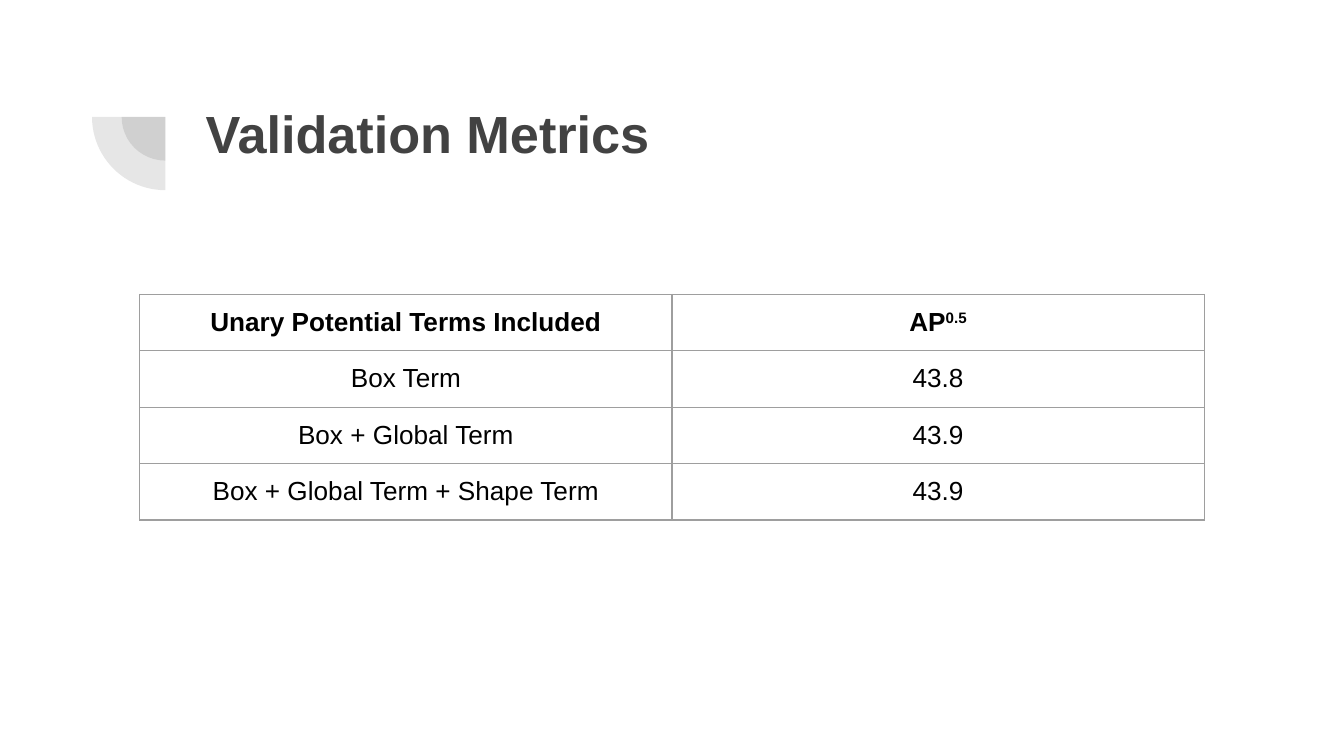
"""Build the validation metrics slide."""
from lxml import etree
from pptx import Presentation, util as u
from pptx.dml.color import RGBColor
from pptx.enum import shapes, text
from pptx.oxml import ns

HUES = {"dark": "424242", "ink": "000000", "rule": "9E9E9E"}
WIDE = u.Inches(10)
HIGH = WIDE * 9 // 16
ROWS = [
    [[("Unary Potential Terms Included", 0)], [("AP", 0), ("0.5", 30)]],
    [[("Box Term", 0)], [("43.8", 0)]],
    [[("Box + Global Term", 0)], [("43.9", 0)]],
    [[("Box + Global Term + Shape Term", 0)], [("43.9", 0)]],
]


def add_run(para, words, size, hue, bold, base=0):
    """Add one formatted run, raised by base percent."""
    run = para.add_run()
    run.text = words
    font = run.font
    font.name, font.size, font.bold = "Arial", u.Pt(size), bold
    font.color.rgb = RGBColor.from_string(HUES[hue])
    if base:
        run._r.get_or_add_rPr().set("baseline", str(base * 1000))


def add_pie(slide, size):
    """Add a translucent quarter disc around the shared corner."""
    left, top = (u.Inches(mid - size / 2) for mid in (1.23, 0.87))
    pie = slide.shapes.add_shape(
        shapes.MSO_SHAPE.PIE, left, top, u.Inches(size), u.Inches(size))
    pie.adjustments[0], pie.adjustments[1] = 108, 162
    pie.rotation = 270
    pie.shadow.inherit = False
    pie.line.fill.background()
    pie.fill.solid()
    pie.fill.fore_color.rgb = RGBColor.from_string(HUES["dark"])
    tint = pie._element.spPr.find(".//" + ns.qn("a:srgbClr"))
    etree.SubElement(tint, ns.qn("a:alpha"), val="13000")


def set_title(slide, words):
    """Place and format the title placeholder."""
    title = slide.shapes.title
    title.left, title.top = u.Inches(1.43), u.Inches(0.65)
    title.width, title.height = u.Inches(7.69), u.Inches(1.09)
    frame = title.text_frame
    frame.word_wrap = True
    frame.auto_size = text.MSO_AUTO_SIZE.NONE
    frame.vertical_anchor = text.MSO_ANCHOR.TOP
    frame.margin_left = frame.margin_right = u.Inches(0.1)
    frame.margin_top = frame.margin_bottom = u.Inches(0.1)
    para = frame.paragraphs[0]
    para.alignment = text.PP_ALIGN.LEFT
    add_run(para, words, 28, "dark", True)


def add_rules(cell):
    """Draw a thin line on each side of a cell."""
    props = cell._tc.get_or_add_tcPr()
    for spot, side in enumerate(("lnL", "lnR", "lnT", "lnB")):
        line = etree.Element(ns.qn("a:" + side), w=str(u.Pt(0.75)))
        fill = etree.SubElement(line, ns.qn("a:solidFill"))
        etree.SubElement(fill, ns.qn("a:srgbClr"), val=HUES["rule"])
        props.insert(spot, line)


def fill_cell(cell, runs, bold):
    """Format a cell and write its runs."""
    cell.fill.background()
    cell.margin_left = cell.margin_right = u.Inches(0.1)
    cell.margin_top = cell.margin_bottom = u.Inches(0.1)
    add_rules(cell)
    para = cell.text_frame.paragraphs[0]
    para.alignment = text.PP_ALIGN.CENTER
    for words, base in runs:
        add_run(para, words, 14, "ink", bold, base)


def add_grid(slide, rows):
    """Add the table of terms and scores."""
    count = len(rows[0])
    wide, high = u.Inches(3.96), u.Inches(0.42)
    table = slide.shapes.add_table(
        len(rows), count, u.Inches(1.04), u.Inches(2.19),
        wide * count, high * len(rows)).table
    table.first_row = table.horz_banding = False
    for r, row in enumerate(rows):
        for c, runs in enumerate(row):
            fill_cell(table.cell(r, c), runs, r == 0)


def main():
    """Build and save the slide."""
    deck = Presentation()
    deck.slide_width, deck.slide_height = WIDE, HIGH
    slide = deck.slides.add_slide(deck.slide_layouts[5])
    for size in (0.65, 1.09):
        add_pie(slide, size)
    set_title(slide, "Validation Metrics")
    add_grid(slide, ROWS)
    deck.save("out.pptx")


if __name__ == "__main__":
    main()
